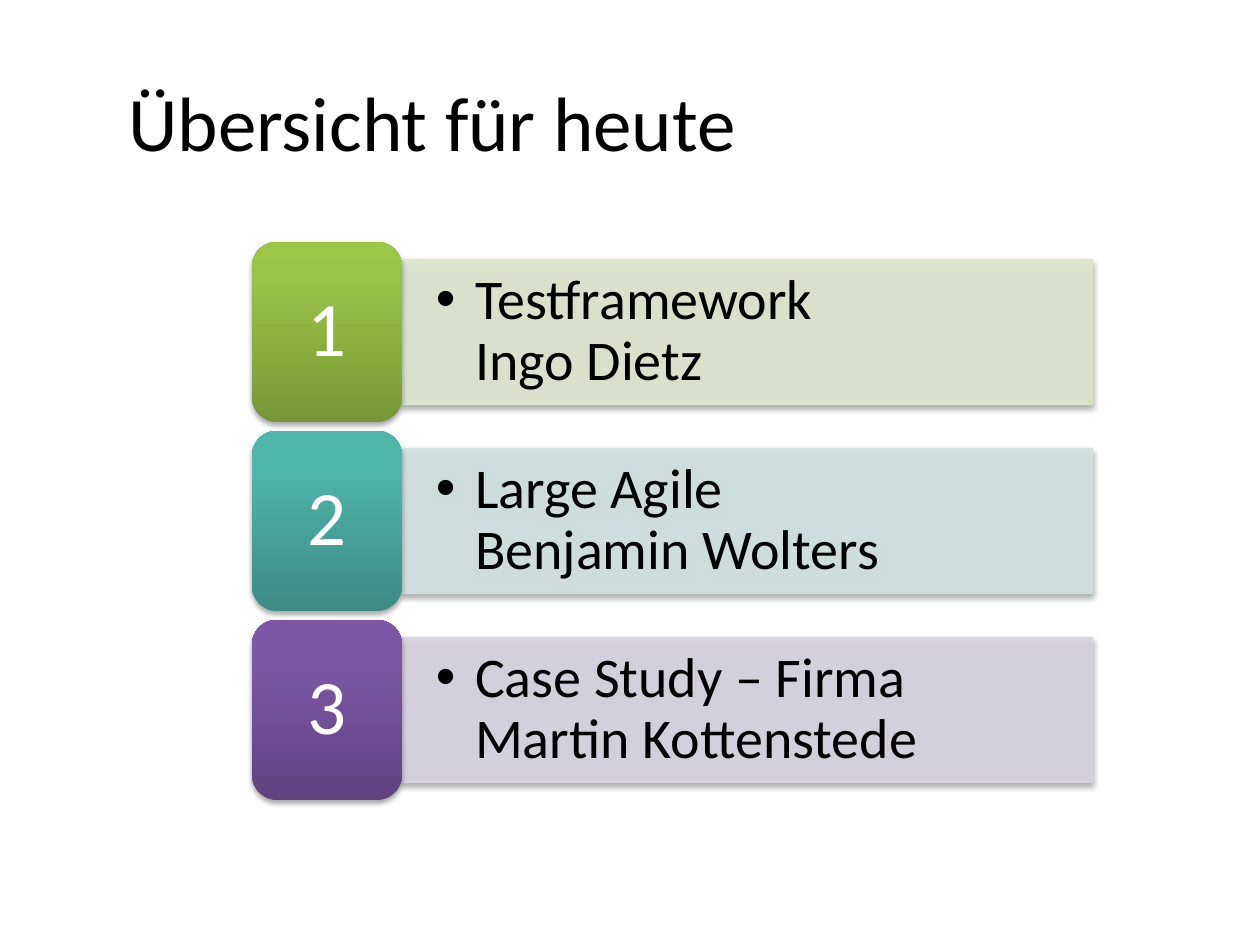
from pptx import Presentation
from pptx.dml.color import RGBColor
from pptx.enum.shapes import MSO_SHAPE
from pptx.enum.text import MSO_ANCHOR, PP_ALIGN
from pptx.oxml import parse_xml
from pptx.oxml.ns import nsdecls, qn
from pptx.util import Inches, Pt

RECT, ROUND = MSO_SHAPE.RECTANGLE, MSO_SHAPE.ROUNDED_RECTANGLE
MIDDLE = MSO_ANCHOR.MIDDLE
LEFT, CENTER = PP_ALIGN.LEFT, PP_ALIGN.CENTER

BLACK = RGBColor(0x00, 0x00, 0x00)
WHITE = RGBColor(0xFF, 0xFF, 0xFF)
GREEN_BAR = RGBColor(0xDE, 0xE7, 0xD1)
TEAL_BAR = RGBColor(0xD2, 0xE3, 0xE2)
PURPLE_BAR = RGBColor(0xD8, 0xD3, 0xE0)
GREENS = (RGBColor(0x77, 0x97, 0x37), RGBColor(0x9B, 0xC3, 0x48), RGBColor(0x9D, 0xC7, 0x46))
TEALS = (RGBColor(0x3D, 0x8B, 0x83), RGBColor(0x50, 0xB5, 0xAA), RGBColor(0x4E, 0xB8, 0xAC))
PURPLES = (RGBColor(0x5F, 0x44, 0x80), RGBColor(0x7B, 0x58, 0xA6), RGBColor(0x7C, 0x57, 0xA8))

STOPS = (0, 80, 100)
ROW_PITCH = 1.5
TOPICS = [
    ("Testframework\vIngo Dietz", GREEN_BAR, GREENS),
    ("Large Agile\vBenjamin Wolters", TEAL_BAR, TEALS),
    ("Case Study – Firma\vMartin Kottenstede", PURPLE_BAR, PURPLES),
]


def write_text(sp, text, size, color, align, inset_x, inset_y):
    """Fill a shape with one formatted paragraph and return it."""
    tf = sp.text_frame
    frame = {
        "word_wrap": True, "vertical_anchor": MIDDLE,
        "margin_left": Inches(inset_x), "margin_right": Inches(inset_x),
        "margin_top": Inches(inset_y), "margin_bottom": Inches(inset_y),
    }
    for name, value in frame.items():
        setattr(tf, name, value)
    p = tf.paragraphs[0]
    p.text = text
    p.alignment = align
    for r in p.runs:
        for name, value in {"name": "Calibri", "size": Pt(size)}.items():
            setattr(r.font, name, value)
        r.font.color.rgb = color
    return p


def add_shadow(sp):
    """Give a shape a soft shadow below it."""
    sp.shadow.inherit = False
    sp._element.spPr.find(qn("a:effectLst")).append(parse_xml(
        f'<a:outerShdw {nsdecls("a")} blurRad="{Pt(3.1)}" dist="{Pt(1.8)}" dir="5400000" '
        'rotWithShape="0"><a:srgbClr val="000000"><a:alpha val="35000"/></a:srgbClr>'
        '</a:outerShdw>'))


def add_title(s, x, y, w, h):
    """Place the slide title."""
    sp = s.shapes.add_textbox(Inches(x), Inches(y), Inches(w), Inches(h))
    write_text(sp, "Übersicht für heute", 44, BLACK, LEFT, 0.1, 0.05)


def add_bar(s, x, y, w, h, text, color):
    """Place a translucent bar with a bulleted topic and its speaker."""
    sp = s.shapes.add_shape(RECT, Inches(x), Inches(y), Inches(w), Inches(h))
    sp.fill.solid()
    sp.line.width = Pt(0.75)
    for c in (sp.fill.fore_color, sp.line.color):
        c.rgb = color
    for clr in sp._element.spPr.iter(qn("a:srgbClr")):
        clr.append(parse_xml(f'<a:alpha {nsdecls("a")} val="90000"/>'))
    add_shadow(sp)
    p = write_text(sp, text, 32, BLACK, LEFT, 0.27, 0.14)
    p.line_spacing = 0.9
    pPr = p._p.get_or_add_pPr()
    pPr.set("marL", str(Inches(0.31)))
    pPr.set("indent", str(-Inches(0.31)))
    pPr.append(parse_xml(f'<a:buFont {nsdecls("a")} typeface="Arial"/>'))
    pPr.append(parse_xml(f'<a:buChar {nsdecls("a")} char="•"/>'))


def add_badge(s, x, y, w, h, number, colors):
    """Place a rounded gradient badge with a number."""
    sp = s.shapes.add_shape(ROUND, Inches(x), Inches(y), Inches(w), Inches(h))
    sp.fill.gradient()
    sp.fill.gradient_angle = 90
    stops = sp._element.spPr.find(qn("a:gradFill")).find(qn("a:gsLst"))
    for gs in list(stops):
        stops.remove(gs)
    for pos, color in zip(STOPS, colors):
        stops.append(parse_xml(
            f'<a:gs {nsdecls("a")} pos="{pos * 1000}"><a:srgbClr val="{color}"/></a:gs>'))
    sp.line.fill.background()
    add_shadow(sp)
    write_text(sp, str(number), 44, WHITE, CENTER, 0.18, 0.09).line_spacing = 0.9


def add_agenda(s, x, y, w):
    """Stack one bar and badge for each topic."""
    badge_w, badge_h, bar_h = 1.19, 1.43, 1.15
    for i, (text, bar_color, badge_colors) in enumerate(TOPICS):
        top = y + i * ROW_PITCH
        add_bar(s, x + badge_w, top + (badge_h - bar_h) / 2, w - badge_w, bar_h, text, bar_color)
        add_badge(s, x, top, badge_w, badge_h, i + 1, badge_colors)


def main():
    """Build and save the agenda slide."""
    prs = Presentation()
    prs.slide_width, prs.slide_height = Inches(10), Inches(7.5)
    s = prs.slides.add_slide(prs.slide_layouts[6])
    add_agenda(s, 2, 1.92, 6.67)
    add_title(s, 0.92, 0.33, 8.83, 1.25)
    prs.save("out.pptx")


if __name__ == "__main__":
    main()
